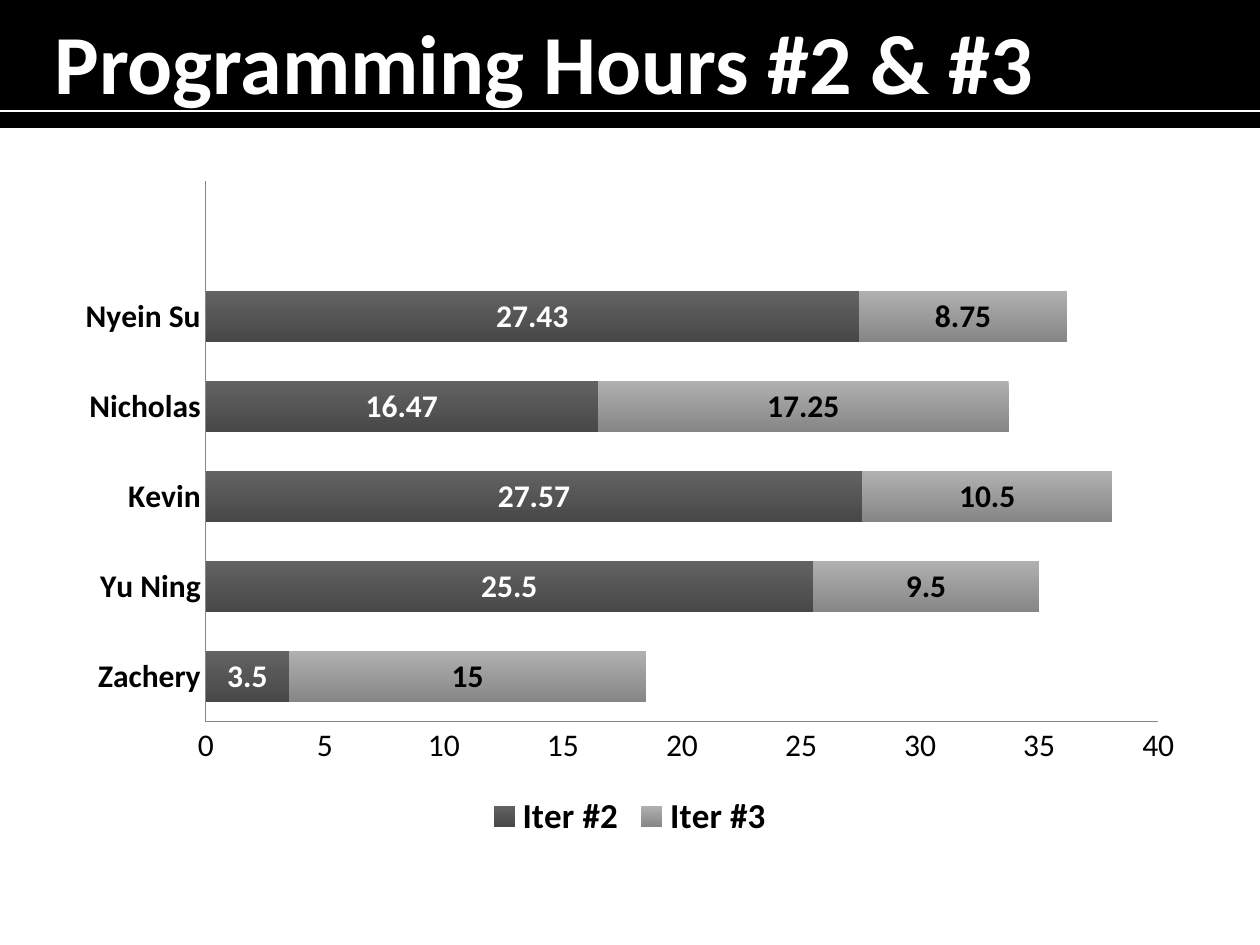
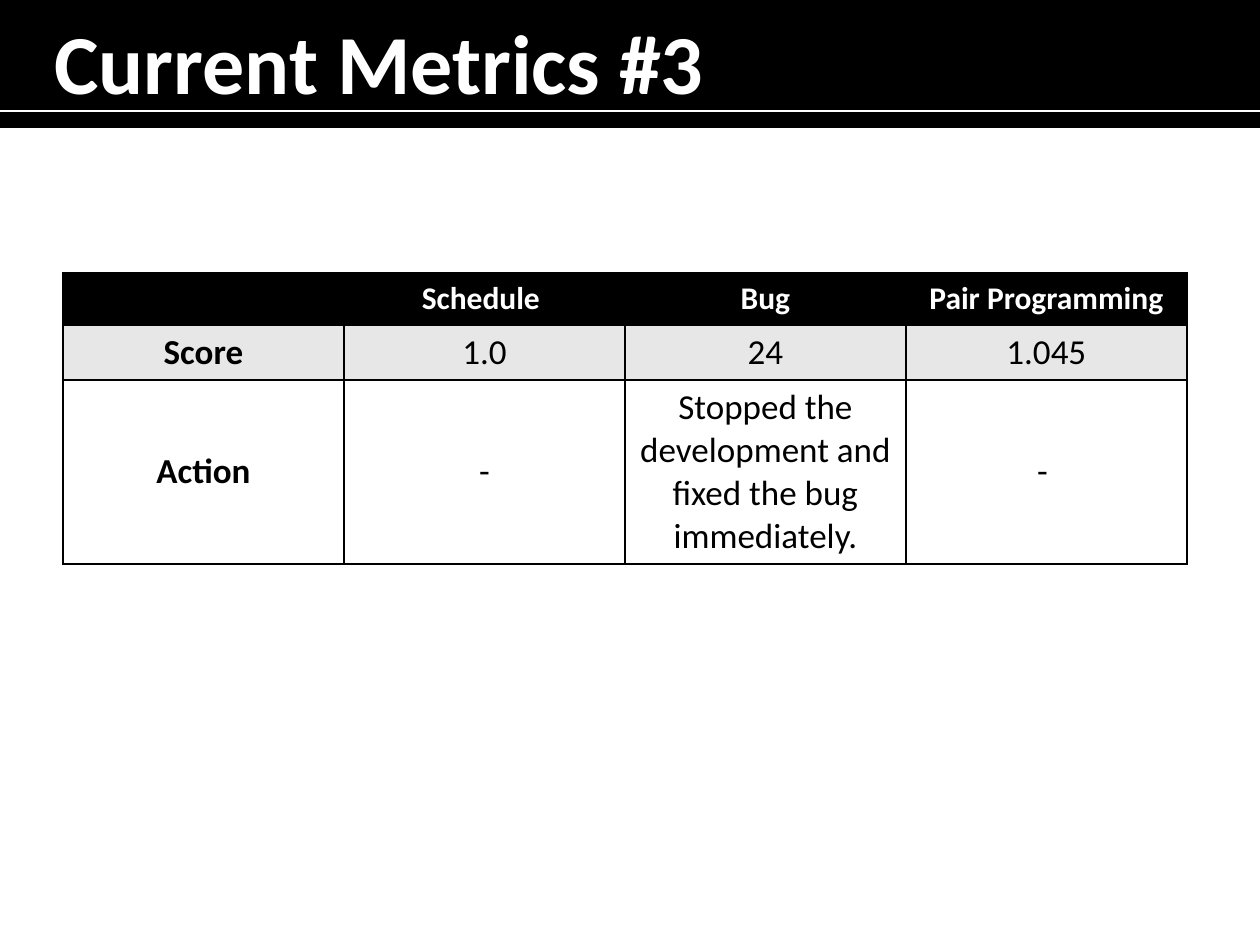
from dataclasses import dataclass

from lxml.etree import SubElement
from pptx import Presentation
from pptx.chart.axis import CategoryAxis, ValueAxis
from pptx.chart.chart import Chart
from pptx.chart.data import CategoryChartData
from pptx.dml.color import RGBColor
from pptx.enum.chart import XL_CHART_TYPE as ChartType
from pptx.enum.chart import XL_LABEL_POSITION as LabelPosition
from pptx.enum.chart import XL_LEGEND_POSITION as LegendPosition
from pptx.enum.chart import XL_TICK_MARK as TickMark
from pptx.enum.shapes import MSO_CONNECTOR as ConnectorType
from pptx.enum.shapes import MSO_SHAPE as ShapeType
from pptx.enum.text import MSO_ANCHOR as Anchor
from pptx.enum.text import PP_ALIGN as Align
from pptx.oxml.ns import qn
from pptx.slide import Slide
from pptx.table import _Cell as Cell
from pptx.text.text import _Paragraph as Paragraph
from pptx.util import Emu, Pt

EMU_PER_PX = 914400 / 126


def px(length: int) -> Emu:
    return Emu(round(length * EMU_PER_PX))


def rgb(value: str) -> RGBColor:
    return RGBColor.from_string(value)


@dataclass(frozen=True)
class Theme:
    font: str = "Calibri"
    black: str = "000000"
    white: str = "FFFFFF"
    score_fill: str = "E7E7E7"
    axis: str = "868686"
    title_size: int = 48
    large_size: int = 20
    small_size: int = 18


@dataclass(frozen=True)
class Iteration:
    name: str
    hours: tuple[float | None, ...]
    top_color: str
    bottom_color: str
    label_color: str


@dataclass(frozen=True)
class MetricRow:
    texts: tuple[str, ...]
    height: int
    fill: str
    color: str
    size: int
    all_bold: bool = False


THEME = Theme()
SLIDE_W, SLIDE_H = 1260, 945
BAND_H, RULE_Y = 126, 111

# The last, unnamed slot leaves room above the bars
MEMBERS = ("Zachery", "Yu Ning", "Kevin", "Nicholas", "Nyein Su", "")
ITERATIONS = (
    Iteration("Iter #2", (3.5, 25.5, 27.57, 16.47, 27.43, None),
              "626262", "484848", THEME.white),
    Iteration("Iter #3", (15, 9.5, 10.5, 17.25, 8.75, None),
              "B0B0B0", "868686", THEME.black),
)
METRIC_COLUMN_W = 281
METRICS = (
    MetricRow(("", "Schedule ", "Bug", "Pair Programming"), 52,
              THEME.black, THEME.white, THEME.small_size, all_bold=True),
    MetricRow(("Score", "1.0", "24", "1.045"), 55,
              THEME.score_fill, THEME.black, THEME.large_size),
    MetricRow(("Action", "-",
               "Stopped the development and fixed the bug immediately.", "- "),
              184, THEME.white, THEME.black, THEME.large_size),
)


def add_run(paragraph: Paragraph, text: str, size: int, color: str,
            bold: bool) -> None:
    run = paragraph.add_run()
    run.text = text
    run.font.name = THEME.font
    run.font.size = Pt(size)
    run.font.bold = bold
    run.font.color.rgb = rgb(color)


# Title band shared by both slides
def add_header(slide: Slide, title: str, title_w: int) -> None:
    band = slide.shapes.add_shape(ShapeType.RECTANGLE, 0, 0,
                                  px(SLIDE_W), px(BAND_H))
    band.shadow.inherit = False
    band.fill.solid()
    band.fill.fore_color.rgb = rgb(THEME.black)
    band.line.color.rgb = rgb(THEME.black)
    band.line.width = Pt(2)

    heading = slide.shapes.add_textbox(px(42), px(-50), px(title_w), px(222))
    frame = heading.text_frame
    frame.word_wrap = True
    frame.vertical_anchor = Anchor.MIDDLE
    add_run(frame.paragraphs[0], title, THEME.title_size, THEME.white, True)

    rule = slide.shapes.add_connector(ConnectorType.STRAIGHT, 0, px(RULE_Y),
                                      px(SLIDE_W), px(RULE_Y))
    rule.line.color.rgb = rgb(THEME.white)
    rule.line.width = Pt(0.75)
    SubElement(rule._element.spPr, qn("a:effectLst"))


# Stacked bars of hours
def style_axis(axis: CategoryAxis | ValueAxis, bold: bool) -> None:
    axis.has_major_gridlines = False
    axis.major_tick_mark = TickMark.NONE
    axis.minor_tick_mark = TickMark.NONE
    axis.format.line.color.rgb = rgb(THEME.axis)
    axis.tick_labels.font.size = Pt(THEME.small_size)
    axis.tick_labels.font.bold = bold


def style_bars(chart: Chart) -> None:
    plot = chart.plots[0]
    plot.gap_width = 75
    plot.overlap = 100
    plot.vary_by_categories = False
    for bars, iteration in zip(plot.series, ITERATIONS):
        fill = bars.format.fill
        fill.gradient()
        fill.gradient_angle = 270
        colors = (iteration.top_color, iteration.bottom_color)
        for stop, color in zip(fill.gradient_stops, colors):
            stop.color.rgb = rgb(color)
        labels = bars.data_labels
        labels.show_value = True
        labels.position = LabelPosition.CENTER
        labels.font.size = Pt(THEME.small_size)
        labels.font.bold = True
        labels.font.color.rgb = rgb(iteration.label_color)


def add_hours_chart(slide: Slide) -> None:
    data = CategoryChartData()
    data.categories = MEMBERS
    for iteration in ITERATIONS:
        data.add_series(iteration.name, iteration.hours)
    chart = slide.shapes.add_chart(ChartType.BAR_STACKED, px(63), px(168),
                                   px(1134), px(677), data).chart
    chart.has_title = False
    chart.font.name = THEME.font
    chart.font.size = Pt(THEME.small_size)
    chart.font.color.rgb = rgb(THEME.black)
    style_bars(chart)

    style_axis(chart.category_axis, bold=True)
    hours_axis = chart.value_axis
    style_axis(hours_axis, bold=False)
    hours_axis.minimum_scale = 0
    hours_axis.maximum_scale = 40
    hours_axis.major_unit = 5

    chart.has_legend = True
    legend = chart.legend
    legend.position = LegendPosition.BOTTOM
    legend.include_in_layout = False
    legend.font.size = Pt(THEME.large_size)
    legend.font.bold = True


# Metrics table
def add_borders(cell: Cell) -> None:
    properties = cell._tc.get_or_add_tcPr()
    for side in ("lnL", "lnR", "lnT", "lnB"):
        border = SubElement(properties, qn(f"a:{side}"), w=str(Pt(1)))
        fill = SubElement(border, qn("a:solidFill"))
        SubElement(fill, qn("a:srgbClr"), val=THEME.black)


def add_metrics_table(slide: Slide) -> None:
    column_count = len(METRICS[0].texts)
    table = slide.shapes.add_table(
        len(METRICS), column_count, px(63), px(273),
        px(METRIC_COLUMN_W * column_count),
        px(sum(metric.height for metric in METRICS))).table
    for column in table.columns:
        column.width = px(METRIC_COLUMN_W)
    for row_index, metric in enumerate(METRICS):
        table.rows[row_index].height = px(metric.height)
        for column_index, text in enumerate(metric.texts):
            cell = table.cell(row_index, column_index)
            add_borders(cell)
            cell.fill.solid()
            cell.fill.fore_color.rgb = rgb(metric.fill)
            cell.vertical_anchor = Anchor.MIDDLE
            paragraph = cell.text_frame.paragraphs[0]
            paragraph.alignment = Align.CENTER
            if text:
                add_run(paragraph, text, metric.size, metric.color,
                        metric.all_bold or column_index == 0)


def main() -> None:
    deck = Presentation()
    deck.slide_width = px(SLIDE_W)
    deck.slide_height = px(SLIDE_H)
    blank = deck.slide_layouts[6]

    hours_slide = deck.slides.add_slide(blank)
    add_header(hours_slide, "Programming Hours #2 & #3", 1197)
    add_hours_chart(hours_slide)

    metrics_slide = deck.slides.add_slide(blank)
    add_header(metrics_slide, "Current Metrics #3", 762)
    add_metrics_table(metrics_slide)

    deck.save("out.pptx")


if __name__ == "__main__":
    main()
